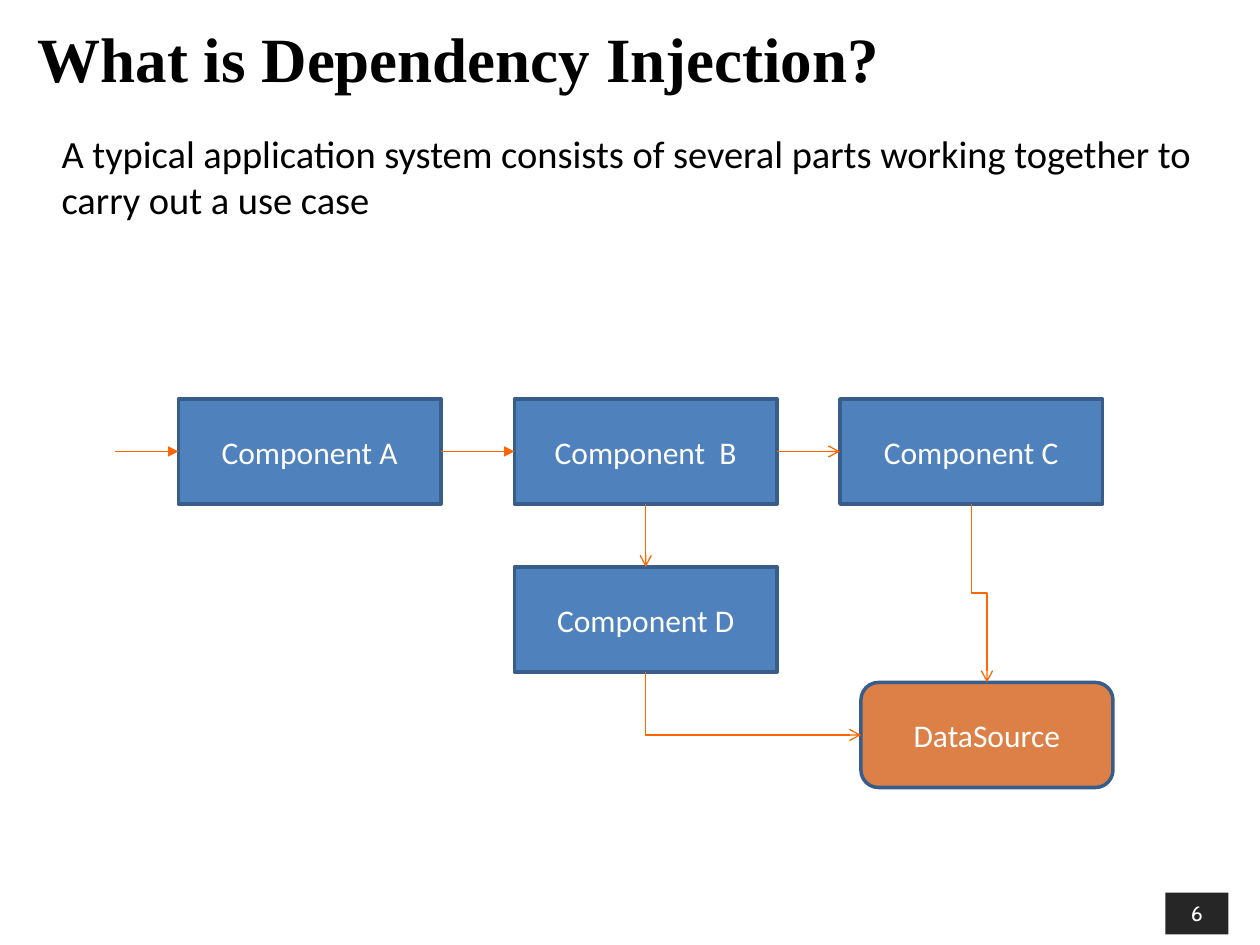
from dataclasses import dataclass

from lxml import etree
from pptx import Presentation
from pptx.dml.color import RGBColor
from pptx.enum.shapes import MSO_CONNECTOR, MSO_SHAPE
from pptx.enum.text import MSO_ANCHOR, PP_ALIGN
from pptx.oxml.ns import qn
from pptx.util import Inches, Pt

RECTANGLE, ROUNDED = MSO_SHAPE.RECTANGLE, MSO_SHAPE.ROUNDED_RECTANGLE
STRAIGHT, ELBOW = MSO_CONNECTOR.STRAIGHT, MSO_CONNECTOR.ELBOW
TOP, MIDDLE = MSO_ANCHOR.TOP, MSO_ANCHOR.MIDDLE
LEFT, CENTER = PP_ALIGN.LEFT, PP_ALIGN.CENTER
TOP_SIDE, LEFT_SIDE, BOTTOM_SIDE, RIGHT_SIDE = range(4)

CELL = Inches(1) // 12  # the slide is a grid of 120 columns and 90 rows
BLUE, ORANGE, DARK = "4F81BD", "DD8047", "262626"
OUTLINE, ARROW, WHITE, BLACK = "385D8A", "FF6600", "FFFFFF", "000000"


@dataclass
class Box:
    text: str
    column: int
    row: int
    columns: int = 25
    rows: int = 10
    fill: str = BLUE
    kind: int = RECTANGLE
    outline: str | None = OUTLINE
    font: str = "Calibri"
    size: int = 18


@dataclass
class Arrow:
    start: str
    start_side: int
    end: str
    end_side: int
    head: str = "arrow"
    bend: str | None = None


BOXES = [
    Box("Component A", 17, 38),
    Box("Component C", 80, 38),
    Box("Component  B", 49, 38),
    Box("Component D", 49, 54),
    Box("DataSource", 82, 65, columns=24, fill=ORANGE, kind=ROUNDED),
]
PAGE_NUMBER = Box("6", 111, 85, 6, 4, DARK, outline=None, font="Cabin", size=12)
ARROWS = [
    Arrow("Component A", RIGHT_SIDE, "Component  B", LEFT_SIDE, "triangle"),
    Arrow("Component  B", BOTTOM_SIDE, "Component D", TOP_SIDE),
    Arrow("Component  B", RIGHT_SIDE, "Component C", LEFT_SIDE),
    Arrow("Component D", BOTTOM_SIDE, "DataSource", LEFT_SIDE, bend="bentConnector2"),
    Arrow("Component C", BOTTOM_SIDE, "DataSource", TOP_SIDE, bend="bentConnector3"),
]


def color(value: str) -> RGBColor:
    return RGBColor.from_string(value)


def write(shape, text: str, font: str, size: int, value: str, align, anchor, bold=False):
    frame = shape.text_frame
    frame.word_wrap = True
    frame.vertical_anchor = anchor
    paragraph = frame.paragraphs[0]
    paragraph.text = text
    paragraph.alignment = align
    paragraph.font.name = font
    paragraph.font.size = Pt(size)
    paragraph.font.bold = bold
    paragraph.font.color.rgb = color(value)


def add_box(slide, box: Box):
    shape = slide.shapes.add_shape(
        box.kind, *(CELL * n for n in (box.column, box.row, box.columns, box.rows))
    )
    shape.shadow.inherit = False
    shape.fill.solid()
    shape.fill.fore_color.rgb = color(box.fill)
    if box.outline:
        shape.line.color.rgb = color(box.outline)
        shape.line.width = Pt(2)
    else:
        shape.line.fill.background()
    write(shape, box.text, box.font, box.size, WHITE, CENTER, MIDDLE)
    return shape


def style_arrow(connector, head: str):
    connector.line.color.rgb = color(ARROW)
    connector.line.width = Pt(0.75)
    properties = connector._element.spPr
    line = properties.find(qn("a:ln"))
    etree.SubElement(line, qn("a:tailEnd"), type=head)
    etree.SubElement(properties, qn("a:effectLst"))


def bend_down(connector, preset: str):
    """Turn an elbow that runs down and to the right so that it leaves vertically."""
    across, down = connector.width, connector.height
    connector.left += (across - down) // 2
    connector.top += (down - across) // 2
    connector.width, connector.height = down, across
    properties = connector._element.spPr
    frame = properties.find(qn("a:xfrm"))
    frame.set("rot", str(270 * 60000))
    frame.set("flipH", "1")
    properties.find(qn("a:prstGeom")).set("prst", preset)


def add_arrow(slide, arrow: Arrow, shapes: dict):
    kind = ELBOW if arrow.bend else STRAIGHT
    connector = slide.shapes.add_connector(kind, 0, 0, 0, 0)
    connector.begin_connect(shapes[arrow.start], arrow.start_side)
    connector.end_connect(shapes[arrow.end], arrow.end_side)
    if arrow.bend:
        bend_down(connector, arrow.bend)
    style_arrow(connector, arrow.head)


def add_entry_arrow(slide, target):
    middle = target.top + target.height // 2
    connector = slide.shapes.add_connector(STRAIGHT, CELL * 11, middle, target.left, middle)
    connector.end_connect(target, LEFT_SIDE)
    style_arrow(connector, "triangle")


def main():
    presentation = Presentation()
    presentation.slide_width, presentation.slide_height = CELL * 120, CELL * 90
    slide = presentation.slides.add_slide(presentation.slide_layouts[6])

    add_box(slide, PAGE_NUMBER)
    title = slide.shapes.add_textbox(Inches(0.2), Inches(0.15), Inches(9.65), Inches(0.61))
    write(title, "What is Dependency Injection?", "Times New Roman", 36, BLACK,
          LEFT, MIDDLE, bold=True)
    body = slide.shapes.add_textbox(Inches(0.39), Inches(0.98), Inches(9.45), Inches(5.76))
    write(body, "A typical application system consists of several parts working together "
          "to carry out a use case", "Calibri", 22, BLACK, LEFT, TOP)

    shapes = {box.text: add_box(slide, box) for box in BOXES}
    add_entry_arrow(slide, shapes["Component A"])
    for arrow in ARROWS:
        add_arrow(slide, arrow, shapes)
    presentation.save("out.pptx")


if __name__ == "__main__":
    main()
